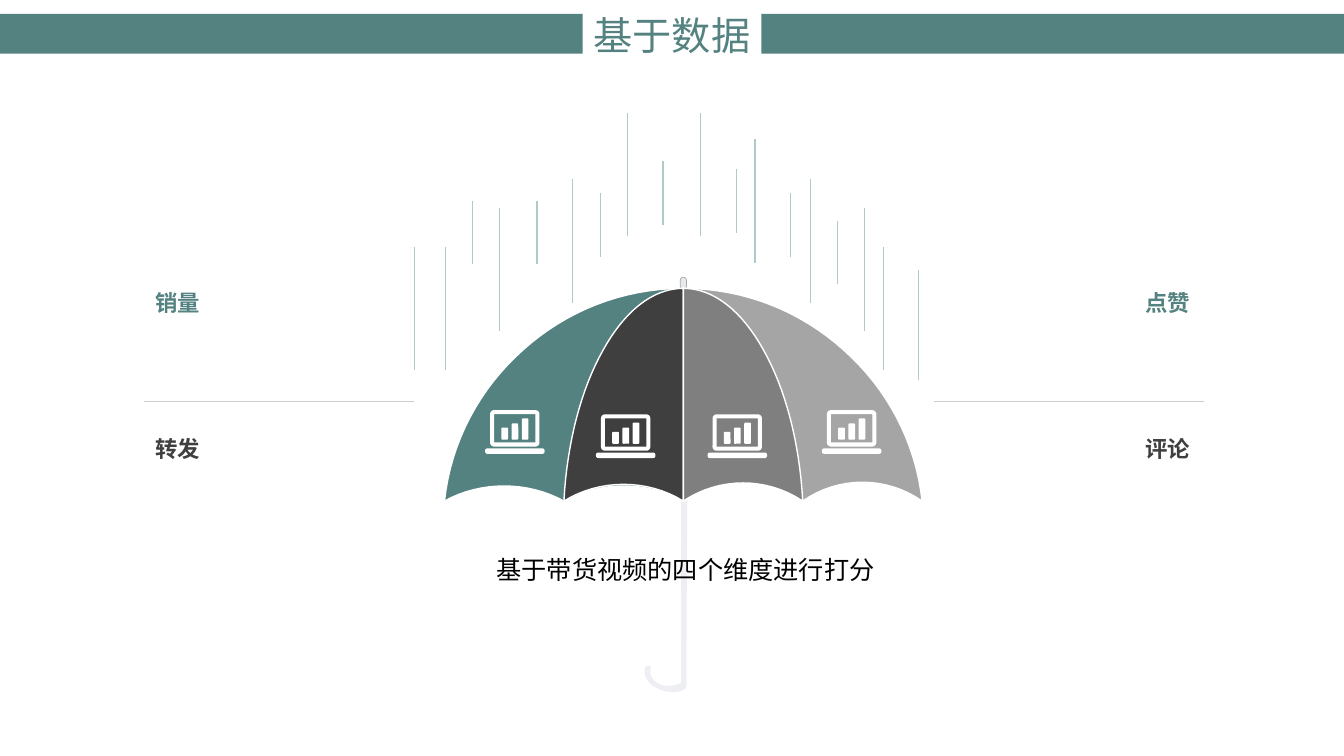
from pptx import Presentation
from pptx.dml.color import RGBColor
from pptx.enum.shapes import MSO_CONNECTOR, MSO_SHAPE
from pptx.enum.text import MSO_ANCHOR, MSO_AUTO_SIZE, PP_ALIGN
from pptx.oxml.ns import qn
from pptx.util import Pt
from lxml import etree

RECT, ROUND = MSO_SHAPE.RECTANGLE, MSO_SHAPE.ROUNDED_RECTANGLE
LINE = MSO_CONNECTOR.STRAIGHT
LEFT, MID, RIGHT = PP_ALIGN.LEFT, PP_ALIGN.CENTER, PP_ALIGN.RIGHT
FONT = "Noto Sans CJK SC"
TEAL, DARK, WHITE = "548280", "3F3F3F", "FFFFFF"

# Rain: left, top and length of each drop within its box
RAIN = [(x, y, 88.2) for x, y in (
    (0, 95.8), (22.2, 95.8), (61, 67.7), (113, 47.6), (152.5, 0),
    (204.5, 0), (243.5, 18.8), (283, 47.6), (322, 67.7), (335, 95.8))]
RAIN += [(x, y, 45.5) for x, y in (
    (302.3, 77.1), (269.2, 57.6), (230.3, 40.4), (177.8, 34.6),
    (133.1, 57.6), (87.8, 62.7), (41.7, 62.7))]
RAIN += [(360.6, 112.4, 78.5)]

# Curves: three points for a bend, one point for a straight edge
RIB = [[(44, 0), (84, 16.5), (114.5, 44)],
       [(145, 71), (166, 109), (170.6, 152)]]
HOOK = [[(26.6, 0), (25.9, 0.7), (25.9, 2.2)], [(25.9, 139)],
        [(22.3, 141), (18, 141.8), (13.7, 141.1)],
        [(10, 140.4), (7.2, 139), (5, 135.4)],
        [(3.6, 133.2), (3.6, 131), (4.3, 128.2)],
        [(4.3, 128.2), (4.3, 127.4), (3.6, 127.4)],
        [(2.2, 126.7), (0.7, 127.4), (0, 128.2)],
        [(-0.7, 131), (0, 134.6), (1.4, 136.8)],
        [(3.6, 140.4), (7.2, 142.6), (10.8, 144)],
        [(16.6, 146.2), (23.8, 146.9), (28.8, 143.3)],
        [(28.8, 142.6), (29.5, 142.6), (29.5, 141.8)], [(30.2, 2.2)],
        [(30.2, 0.7), (29.5, 0), (28.1, 0)]]


def color(code):
    return RGBColor.from_string(code)


def paint(shape, fill, line=None, width=1):
    shape.shadow.inherit = False
    if fill:
        shape.fill.solid()
        shape.fill.fore_color.rgb = color(fill)
    else:
        shape.fill.background()
    if line:
        shape.line.color.rgb = color(line)
        shape.line.width = Pt(width)
    else:
        shape.line.fill.background()


def block(slide, kind, x, y, w, h, fill, line=None, width=1, curve=None):
    shape = slide.shapes.add_shape(kind, Pt(x), Pt(y), Pt(w), Pt(h))
    if curve is not None:
        shape.adjustments[0] = curve
    paint(shape, fill, line, width)


def rule(slide, x1, y1, x2, y2, tint, width):
    line = slide.shapes.add_connector(LINE, Pt(x1), Pt(y1), Pt(x2), Pt(y2))
    line.line.color.rgb = color(tint)
    line.line.width = Pt(width)
    etree.SubElement(line._element.spPr, qn("a:effectLst"))


def write(shape, text, size, tint, align=LEFT, bold=False):
    frame = shape.text_frame
    frame.text = text
    para = frame.paragraphs[0]
    para.alignment = align
    font = para.runs[0].font
    font.size, font.bold, font.name = Pt(size), bold, FONT
    font.color.rgb = color(tint)
    east = etree.SubElement(font._element, qn("a:ea"))
    east.set("typeface", FONT)


def trace(start, parts, steps=16):
    """Turn bends and straight edges into a list of points."""
    dots = [start]
    for part in parts:
        if len(part) == 1:
            dots += part
            continue
        ends = [dots[-1]] + part
        for i in range(1, steps + 1):
            t = i / steps
            mix = ((1 - t) ** 3, 3 * t * (1 - t) ** 2, 3 * t * t * (1 - t), t ** 3)
            dots.append(tuple(sum(m * p[k] for m, p in zip(mix, ends))
                              for k in (0, 1)))
    return dots


def outline(slide, x, y, dots, fill, line=None):
    spots = [(Pt(x + a), Pt(y + b)) for a, b in dots]
    form = slide.shapes.build_freeform(*spots[0])
    form.add_line_segments(spots[1:], close=True)
    paint(form.convert_to_shape(), fill, line)


def header(slide, x, y, w, h):
    gap = 127.6
    side = (w - gap) / 2
    for left in (x, x + side + gap):
        block(slide, RECT, left, y, side, h, TEAL)
    title = slide.shapes.title
    title.left, title.top = Pt(x + side), Pt(y - 5.8)
    title.width, title.height = Pt(gap), Pt(41)
    write(title, "基于数据", 28, TEAL, MID)
    frame = title.text_frame
    frame.word_wrap = False
    frame.auto_size = MSO_AUTO_SIZE.SHAPE_TO_FIT_TEXT
    frame.vertical_anchor = MSO_ANCHOR.MIDDLE


def labels(slide, x, y, w, names, align):
    """Two labels with a rule between them."""
    for i, (name, tint) in enumerate(zip(names, (TEAL, DARK))):
        box = slide.shapes.add_textbox(
            Pt(x + 8), Pt(y + 104.4 * i), Pt(w - 18), Pt(24.5))
        frame = box.text_frame
        frame.word_wrap = True
        frame.margin_left = frame.margin_right = 0
        frame.margin_top = frame.margin_bottom = 0
        write(box, name, 16, tint, align, True)
    rule(slide, x, y + 80, x + w, y + 80, "CCCCCC", 0.5)


def rain(slide, x, y):
    for left, top, size in RAIN:
        rule(slide, x + left, y + top + size, x + left, y + top, "AECBC9", 0.75)


def panel(slide, x, y, side, reach, rise, fill):
    """Canopy part from the apex, reaching one or two scallops sideways."""
    step, base = 85.3, 152
    parts = [[(a * reach / 2, b) for a, b in bend] for bend in RIB]
    for i in range(reach, 0, -1):
        top = base - rise * 4 / 3
        parts.append([((i - 0.3) * step, top), ((i - 0.7) * step, top),
                      ((i - 1) * step, base)])
    dots = [(side * a, b) for a, b in trace((0, 0), parts)]
    outline(slide, x, y, dots, fill, WHITE)


def laptop(slide, x, y):
    block(slide, ROUND, x + 5, y + 1.4, 32.4, 23.1, None, WHITE, 2.9, 0.06)
    block(slide, ROUND, x, y + 27.3, 42.5, 3.9, WHITE, curve=0.4)
    for i, top in enumerate((12.4, 9.5, 5.9)):
        block(slide, ROUND, x + 11.6 + 7.3 * i, y + top, 4.8, 21 - top,
              WHITE, curve=0.15)


def umbrella(slide, x, y):
    """Umbrella with its apex at x, y."""
    outline(slide, x - 27.4, y + 142.6, trace((28.1, 0), HOOK), "EDEFF3")
    block(slide, ROUND, x - 2.2, y - 8, 4.5, 8.6, "E8E9ED", "A6AAA9", 0.5, 0.5)
    panel(slide, x, y, 1, 2, 13.5, "A5A5A5")
    panel(slide, x, y, -1, 2, 10.8, TEAL)
    panel(slide, x, y, -1, 1, 12, DARK)
    panel(slide, x, y, 1, 1, 13, "7F7F7F")
    for left, top in ((-141.6, 87), (-62.4, 90), (17.3, 90), (99, 87)):
        laptop(slide, x + left, y + top)


def caption(slide, x, y, w, h):
    box = slide.shapes.add_textbox(Pt(x), Pt(y), Pt(w), Pt(h))
    box.text_frame.word_wrap = False
    write(box, "基于带货视频的四个维度进行打分", 18, "000000")


def main():
    deck = Presentation()
    deck.slide_width, deck.slide_height = Pt(960), Pt(540)
    slide = deck.slides.add_slide(deck.slide_layouts[5])
    header(slide, 0, 10, 960, 28.4)
    labels(slide, 667, 206.6, 193, ("点赞", "评论"), RIGHT)
    labels(slide, 103, 206.6, 193, ("销量", "转发"), LEFT)
    rain(slide, 295.8, 80.6)
    umbrella(slide, 488.1, 206)
    caption(slide, 347.5, 392.4, 287.3, 29)
    deck.save("out.pptx")


if __name__ == "__main__":
    main()
